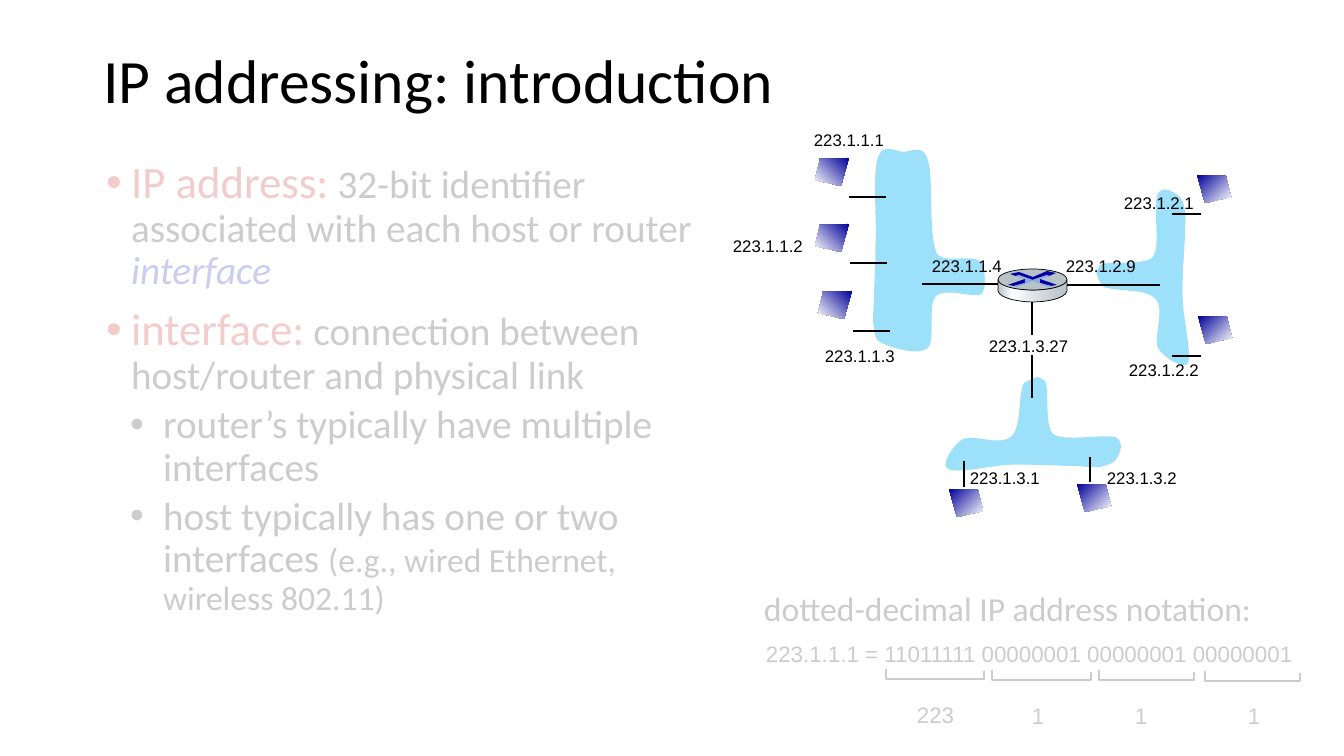
"""Build a slide introducing IP addressing with a router, three subnets and dotted-decimal notation."""
import pptx
import pptx.util
import pptx.dml.color
import pptx.enum.shapes
import pptx.enum.text
import pptx.oxml
import pptx.oxml.ns
from lxml import etree

RGB = pptx.dml.color.RGBColor
BLACK = RGB(0x00, 0x00, 0x00)
WHITE = RGB(0xFF, 0xFF, 0xFF)
DARK_RED = RGB(0xC0, 0x00, 0x00)
RED = RGB(0xCC, 0x00, 0x00)
NAVY = RGB(0x00, 0x00, 0xA3)
HOST_BLUE = RGB(0x00, 0x00, 0x99)
SKY = RGB(0x9C, 0xE0, 0xFA)
STEEL = RGB(0xB8, 0xC2, 0xC9)
SILVER = RGB(0xD6, 0xDC, 0xE0)
PALE_BLUE = RGB(0x8F, 0xAA, 0xDC)
PX = 914400 / 100.8
Pt = pptx.util.Pt
SHAPES = pptx.enum.shapes.MSO_SHAPE
qn = pptx.oxml.ns.qn


def outline(points, fill=None, edge=None, closed=True):
    """Draw straight segments through points given in px."""
    corners = [(x * PX, y * PX) for x, y in points]
    builder = slide.shapes.build_freeform(*corners[0], scale=1.0)
    builder.add_line_segments(corners[1:], close=closed)
    shape = builder.convert_to_shape()
    shape.shadow.inherit = False
    if fill is None:
        shape.fill.background()
    else:
        shape.fill.solid()
        shape.fill.fore_color.rgb = fill
    if edge is None:
        shape.line.fill.background()
    else:
        shape.line.color.rgb = BLACK
        shape.line.width = Pt(edge)
    return shape


def curve(points, steps=8):
    """Turn a start point and triplets of Bezier points into a fine outline."""
    track = [points[0]]
    for i in range(0, len(points) - 1, 3):
        a, b, c, d = points[i:i + 4]
        for t in (n / steps for n in range(1, steps + 1)):
            weights = ((1 - t) ** 3, 3 * t * (1 - t) ** 2, 3 * t * t * (1 - t), t ** 3)
            track.append(tuple(sum(w * p[k] for w, p in zip(weights, (a, b, c, d))) for k in (0, 1)))
    return track


prs = pptx.Presentation()
prs.slide_width, prs.slide_height = round(1344 * PX), round(756 * PX)
slide = prs.slides.add_slide(prs.slide_layouts[1])

title, body = slide.placeholders
for holder, box in ((title, (93, 34, 1159, 99)), (body, (96, 155, 613, 534))):
    holder.left, holder.top, holder.width, holder.height = (round(v * PX) for v in box)
    holder.text_frame.auto_size = pptx.enum.text.MSO_AUTO_SIZE.NONE
title.text_frame.text = "IP addressing: introduction"
title.text_frame.vertical_anchor = pptx.enum.text.MSO_ANCHOR.MIDDLE
heading = title.text_frame.paragraphs[0]
heading.alignment = pptx.enum.text.PP_ALIGN.LEFT
heading.line_spacing = 0.9
heading.font.name, heading.font.size, heading.font.color.rgb = "Calibri", Pt(44), BLACK

points = [
    (0, 0, [("IP address:", 32, DARK_RED), (" ", 28, DARK_RED),
            ("32-bit identifier associated with each host or router ", 28, BLACK),
            ("interface", 28, NAVY)]),
    (0, 10, [("interface:", 32, RED), (" connection between host/router and physical link", 28, BLACK)]),
    (1, 5, [("router’s typically have multiple interfaces", 28, BLACK)]),
    (1, 5, [("host typically has one or two interfaces ", 28, BLACK),
            ("(e.g., wired Ethernet, wireless 802.11)", 24, BLACK)]),
]
for i, (level, before, runs) in enumerate(points):
    frame = body.text_frame
    paragraph = frame.paragraphs[0] if i == 0 else frame.add_paragraph()
    paragraph.level = level
    paragraph.line_spacing = 0.9
    paragraph.space_before = Pt(before)
    margin, indent = ((25, -32), (57, -33))[level]
    props = paragraph._p.get_or_add_pPr()
    props.set("marL", str(round(margin * PX)))
    props.set("indent", str(round(indent * PX)))
    etree.SubElement(props, qn("a:buFont"), typeface="Arial")
    etree.SubElement(props, qn("a:buChar"), char="•")
    paragraph.font.name = "Calibri"
    for text, size, color in runs:
        run = paragraph.add_run()
        run.text = text
        run.font.size, run.font.color.rgb = Pt(size), color
        if color == NAVY:
            run.font.italic = True

subnets = [
    [(1024, 383), (1018, 392), (1022, 426), (1012, 436), (1002, 447), (974, 434), (963, 439),
     (953, 445), (940, 465), (948, 469), (955, 474), (991, 466), (1006, 465), (1021, 464),
     (1029, 465), (1040, 465), (1051, 465), (1061, 466), (1072, 466), (1081, 466), (1093, 468),
     (1100, 467), (1108, 465), (1115, 463), (1117, 458), (1120, 453), (1125, 442), (1115, 437),
     (1104, 434), (1062, 442), (1053, 434), (1044, 426), (1050, 388), (1045, 381), (1037, 376),
     (1040, 375), (1024, 383)],
    [(1102, 286), (1111, 292), (1145, 288), (1155, 298), (1166, 308), (1153, 337), (1158, 348),
     (1164, 358), (1184, 370), (1188, 363), (1192, 356), (1184, 320), (1183, 304), (1182, 289),
     (1183, 281), (1183, 270), (1184, 259), (1184, 249), (1185, 239), (1185, 229), (1186, 218),
     (1185, 211), (1184, 203), (1181, 196), (1176, 194), (1172, 191), (1161, 185), (1157, 196),
     (1153, 207), (1161, 248), (1153, 257), (1146, 266), (1107, 260), (1100, 265), (1096, 273),
     (1094, 270), (1102, 286)],
    [(984, 268), (982, 249), (947, 266), (937, 254), (928, 236), (934, 177), (928, 160),
     (923, 143), (911, 152), (903, 152), (895, 151), (883, 143), (878, 157), (873, 170),
     (876, 215), (876, 233), (875, 251), (876, 256), (875, 267), (875, 278), (874, 288),
     (874, 298), (874, 308), (872, 320), (874, 327), (875, 335), (875, 341), (884, 344),
     (893, 348), (919, 356), (928, 348), (936, 341), (927, 305), (936, 296), (946, 287),
     (974, 299), (982, 294), (985, 286), (986, 287), (984, 268)],
]
for subnet in subnets:
    outline(curve(subnet), SKY)

links = [(1032, 301, 1032, 398), (849, 197, 886, 197), (850, 263, 887, 263), (853, 331, 890, 331),
         (922, 284, 1010, 284), (1052, 285, 1160, 285), (1172, 214, 1201, 214),
         (1172, 356, 1201, 356), (964, 461, 964, 487), (1090, 457, 1090, 482)]
for ends in links:
    link = slide.shapes.add_connector(pptx.enum.shapes.MSO_CONNECTOR.STRAIGHT, *(round(v * PX) for v in ends))
    link.line.color.rgb, link.line.width = BLACK, Pt(1.5)
    etree.SubElement(link._element.spPr, qn("a:effectLst"))

for x, y, w, h in ((733, 239, 92, 20), (986, 335, 94, 20)):
    outline([(x, y), (x + w, y), (x + w, y + h), (x, y + h)], WHITE)

addresses = [("223.1.1.1", 804, 125), ("223.1.1.2", 723, 231), ("223.1.1.3", 815, 341),
             ("223.1.1.4", 922, 251), ("223.1.2.9", 1056, 251), ("223.1.2.2", 1119, 355),
             ("223.1.2.1", 1114, 188), ("223.1.3.2", 1097, 463), ("223.1.3.1", 960, 463)]
captions = [(text, x, y, 91, 30, 12, "Arial") for text, x, y in addresses]
captions += [("223.1.3.27", 979, 331, 101, 30, 12, "Arial"),
             ("223.1.1.1 = 11011111 00000001 00000001 00000001", 756, 635, 556, 42, 16, "Arial"),
             ("223", 907, 696, 62, 42, 16, "Arial"),
             ("dotted-decimal IP address notation:", 754, 583, 513, 50, 24, "Calibri")]
captions += [("1", x, 697, 34, 42, 16, "Arial") for x in (1022, 1125, 1238)]
for text, x, y, w, h, size, face in captions:
    caption = slide.shapes.add_textbox(*(round(v * PX) for v in (x, y, w, h))).text_frame
    caption.word_wrap = False
    caption.auto_size = pptx.enum.text.MSO_AUTO_SIZE.SHAPE_TO_FIT_TEXT
    caption.text = text
    font = caption.paragraphs[0].font
    font.name, font.size, font.color.rgb = face, Pt(size), BLACK

for left, right, top in ((886, 984, 669), (992, 1091, 670), (1099, 1194, 670), (1205, 1300, 671)):
    outline([(left, top), (left, top + 10), (right, top + 10), (right, top + 2)], edge=1.5, closed=False)

hosts = [(849, 158, -1), (849, 224, -1), (852, 291, -1), (1197, 175, 1), (1198, 316, 1),
         (1077, 484, 1), (949, 489, 1)]
for x, y, side in hosts:
    host = outline([(x + side * dx, y + dy) for dx, dy in ((0, 0), (29, 1), (34, 22), (8, 28))])
    host.fill.gradient()
    host.fill.gradient_angle = 315 if side == 1 else 225
    for stop, color in zip(host.fill.gradient_stops, (HOST_BLUE, WHITE)):
        stop.color.rgb = color

router_side = outline(curve([
    (1067, 291), (1065, 299), (1045, 302), (1033, 302), (1021, 302), (1000, 299), (998, 291),
    (998, 289), (998, 283), (998, 280), (1001, 287), (1021, 290), (1033, 290), (1044, 290),
    (1064, 288), (1067, 280)]), edge=0.5)
router_side.fill.gradient()
router_side.fill.gradient_angle = 0
stops = router_side._element.spPr.find(qn("a:gradFill")).find(qn("a:gsLst"))
stops.clear()
for position, color in ((0, STEEL), (21, WHITE), (60, SILVER), (100, STEEL)):
    stop = etree.SubElement(stops, qn("a:gs"), pos=str(position * 1000))
    etree.SubElement(stop, qn("a:srgbClr"), val=str(color))

router_top = slide.shapes.add_shape(SHAPES.OVAL, *(round(v * PX) for v in (998, 269, 69, 21)))
router_top.shadow.inherit = False
router_top.fill.solid()
router_top.fill.fore_color.rgb = STEEL
router_top.line.color.rgb, router_top.line.width = BLACK, Pt(0.5)
outline([(1047, 271), (1056, 273), (1049, 276), (1047, 275), (1032, 280), (1019, 275), (1016, 276),
         (1010, 274), (1019, 272), (1033, 277)], NAVY)
outline([(1040, 279), (1057, 285), (1051, 286), (1040, 283)], NAVY)
outline([(1025, 279), (1025, 283), (1014, 286), (1008, 285)], NAVY)
outline([(1016, 276), (1019, 275), (1033, 280), (1047, 275), (1050, 276), (1040, 279), (1040, 283),
         (1051, 286), (1048, 287), (1033, 281), (1017, 287), (1014, 286), (1025, 283), (1025, 279)], PALE_BLUE)

for area in ((65, 139, 648, 573), (663, 570, 648, 186)):
    veil = slide.shapes.add_shape(SHAPES.RECTANGLE, *(round(v * PX) for v in area))
    veil.shadow.inherit = False
    veil.fill.solid()
    veil.fill.fore_color.rgb = WHITE
    veil.line.fill.background()
    tint = veil._element.spPr.find(qn("a:solidFill"))[0]
    etree.SubElement(tint, qn("a:alpha"), val="80000")

prs.save("out.pptx")
